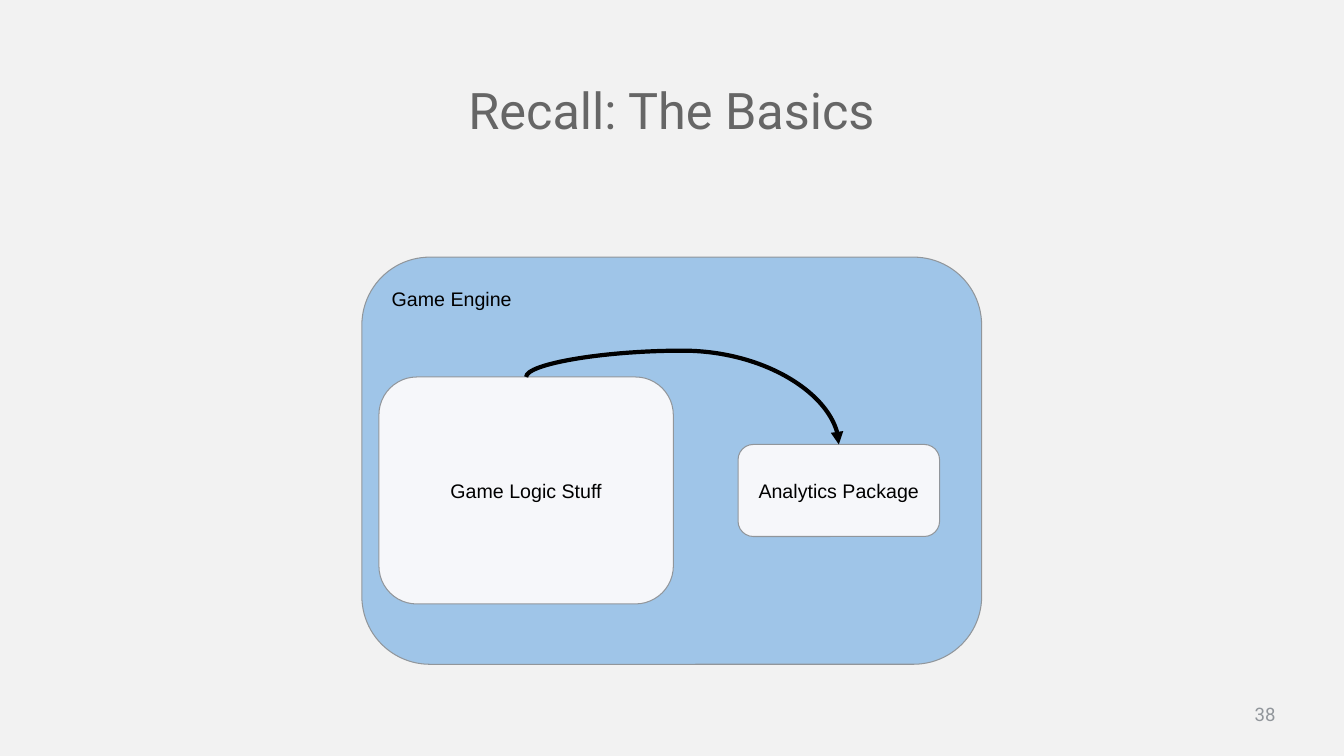
from dataclasses import dataclass
from lxml.etree import SubElement as Sub
from pptx import Presentation as Deck
from pptx.dml.color import RGBColor as Rgb
from pptx.enum.shapes import MSO_CONNECTOR as Link, MSO_SHAPE as Form
from pptx.enum.text import MSO_ANCHOR as Anchor, PP_ALIGN as Align
from pptx.oxml.ns import qn
from pptx.util import Cm, Pt


@dataclass(frozen=True)
class Theme:
    back: str = "F2F2F2"
    head: str = "666666"
    gray: str = "91969B"
    blue: str = "9FC5E8"
    pale: str = "F6F7FA"
    ink: str = "000000"
    title: float = 36
    label: float = 14
    note: float = 13.3
    sans: str = "Roboto"
    body: str = "Arial"


def apply(item, form):
    for key, val in form.items():
        setattr(item, key, val)


class Board:
    def __init__(self, slide, theme):
        self.slide, self.theme = slide, theme
        fill = slide.background.fill
        fill.solid()
        fill.fore_color.rgb = Rgb.from_string(theme.back)

    def label(self, shape, words, size, face, tint, align, anchor, space=1.0):
        frame = shape.text_frame
        sides = ("left", "top", "right", "bottom")
        apply(frame, {f"margin_{side}": Cm(0.25) for side in sides})
        apply(frame, {"word_wrap": True, "vertical_anchor": anchor})
        para = frame.paragraphs[0]
        apply(para, {"alignment": align, "line_spacing": space})
        run = para.add_run()
        run.text = words
        apply(run.font, {"size": Pt(size), "name": face})
        run.font.color.rgb = Rgb.from_string(tint)

    def text(self, area, *style):
        self.label(self.slide.shapes.add_textbox(*map(Cm, area)), *style)

    def box(self, area, tint, words, align=Align.CENTER, anchor=Anchor.MIDDLE):
        look = self.theme
        shape = self.slide.shapes.add_shape(
            Form.ROUNDED_RECTANGLE, *map(Cm, area))
        shape.shadow.inherit = False
        shape.adjustments[0] = 0.167
        shape.fill.solid()
        shape.fill.fore_color.rgb = Rgb.from_string(tint)
        shape.line.color.rgb = Rgb.from_string(look.gray)
        shape.line.width = Pt(0.75)
        self.label(shape, words, look.label, look.body, look.ink, align, anchor)

    def arc(self, start, end, bend):
        """Curve between two tops: a sideways connector turned by 270 degrees."""
        (ax, ay), (bx, by) = start, end
        mid, level = (ax + bx) / 2, (ay + by) / 2
        wide, tall = (by - ay) / 2, (bx - ax) / 2
        ends = (mid + wide, level - tall, mid - wide, level + tall)
        line = self.slide.shapes.add_connector(Link.CURVE, *map(Cm, ends))
        line.line.color.rgb = Rgb.from_string(self.theme.ink)
        line.line.width = Pt(3)
        props = line._element.spPr
        props.find(qn("a:xfrm")).set("rot", str(270 * 60000))
        guide = Sub(props.find(qn("a:prstGeom")).find(qn("a:avLst")), qn("a:gd"))
        guide.set("name", "adj1")
        guide.set("fmla", f"val {round(bend * 100000)}")
        Sub(props.find(qn("a:ln")), qn("a:tailEnd")).set("type", "triangle")
        Sub(props, qn("a:effectLst"))


def top(area):
    left, y, wide, _ = area
    return left + wide / 2, y


def main():
    deck = Deck()
    apply(deck, {"slide_width": Cm(33.87), "slide_height": Cm(19.05)})
    look = Theme()
    board = Board(deck.slides.add_slide(deck.slide_layouts[6]), look)

    # Title and page number
    board.text((3.96, 1.02, 25.93, 3.68), "Recall: The Basics", look.title,
               look.sans, look.head, Align.CENTER, Anchor.MIDDLE, 0.9)
    board.text((31.37, 17.27, 2.03, 1.45), "38", look.note,
               look.sans, look.gray, Align.LEFT, Anchor.MIDDLE)

    # Engine with its two parts
    logic = (9.55, 9.5, 7.42, 5.72)
    stats = (18.6, 11.2, 5.08, 2.32)
    board.box((9.12, 6.48, 15.62, 10.26), look.blue, "Game Engine",
              Align.LEFT, Anchor.TOP)
    board.box(logic, look.pale, "Game Logic Stuff")
    board.box(stats, look.pale, "Analytics Package")

    # Call from the game to the package
    board.arc(top(logic), top(stats), -0.39)

    deck.save("out.pptx")


if __name__ == "__main__":
    main()
